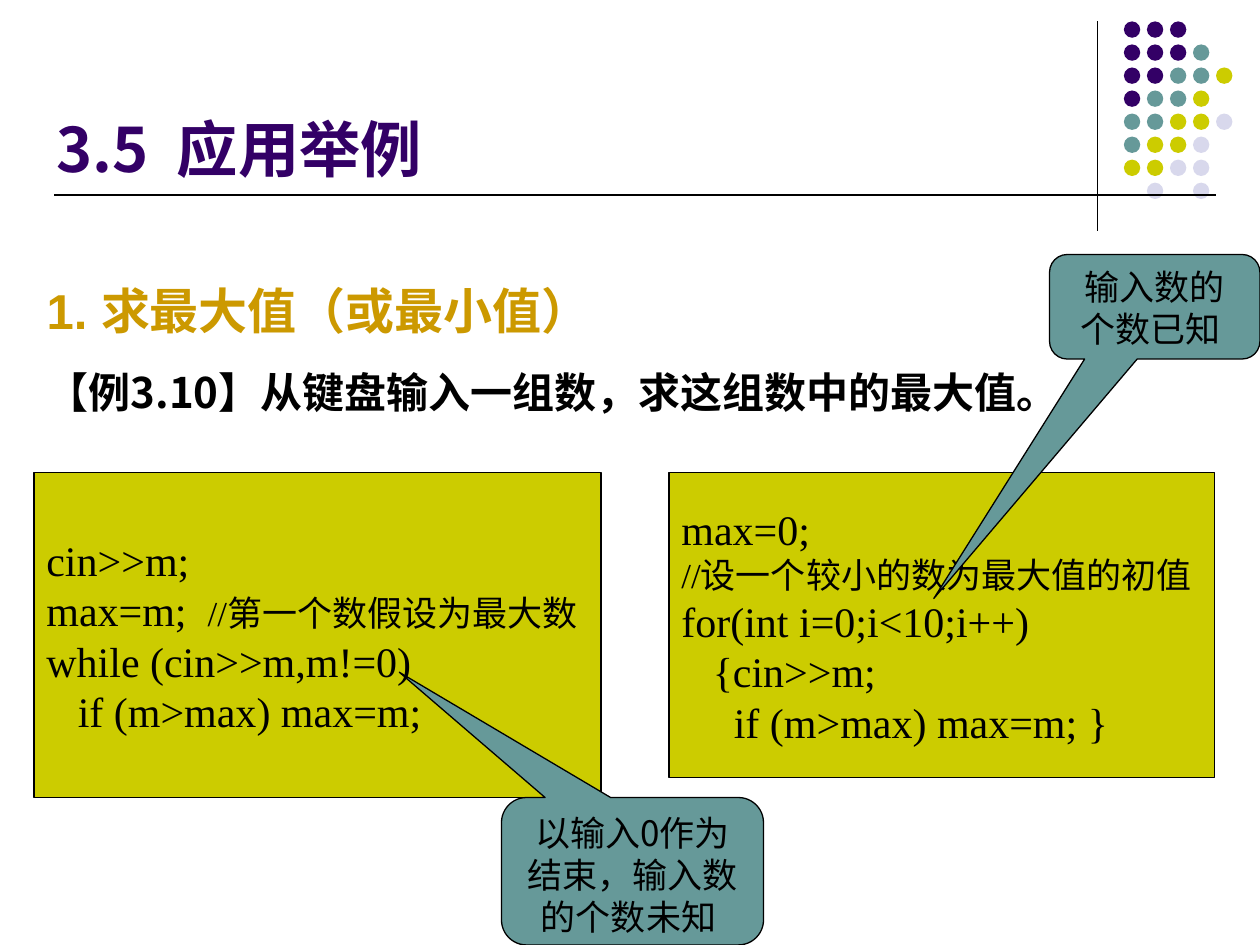
from dataclasses import dataclass

from lxml.etree import SubElement
from pptx import Presentation
from pptx.dml.color import RGBColor
from pptx.enum.shapes import MSO_CONNECTOR, MSO_SHAPE
from pptx.enum.text import MSO_ANCHOR, MSO_AUTO_SIZE, PP_ALIGN
from pptx.oxml.ns import qn
from pptx.util import Inches, Pt


@dataclass(frozen=True)
class Theme:
    purple: str = "330066"
    teal: str = "669999"
    lime: str = "CCCC00"
    lavender: str = "D8D8EC"
    gold: str = "CC9900"
    black: str = "000000"
    chinese: str = "Noto Sans CJK SC"
    heading: str = "Arial"
    code: str = "Times New Roman"
    title_size: int = 35
    heading_size: int = 28
    text_size: int = 24
    note_size: int = 20


THEME = Theme()
TITLE_STYLE = {"name": THEME.chinese, "size": Pt(THEME.title_size), "bold": True}
HEADING_STYLE = {"name": THEME.heading, "size": Pt(THEME.heading_size), "bold": True}
EXAMPLE_STYLE = {"name": THEME.chinese, "size": Pt(THEME.text_size), "bold": True}
CODE_STYLE = {"name": THEME.code, "size": Pt(THEME.text_size)}
SLASH_STYLE = {"name": THEME.code, "size": Pt(THEME.note_size)}
NOTE_STYLE = {"name": THEME.chinese, "size": Pt(THEME.note_size)}

DOT_COLORS = {"P": THEME.purple, "T": THEME.teal, "L": THEME.lime, "V": THEME.lavender}
DOT_ROWS = ["PPP", "PPPT", "PPTTL", "PTTL", "TTLLV", "TLLV", "LLVV", " V V"]
DOT_PITCH = 1.28 / 7

INPUT_LOOP = [
    [("cin>>m;", CODE_STYLE)],
    [("max=m;  ", CODE_STYLE), ("//", SLASH_STYLE),
     ("第一个数假设为最大数", NOTE_STYLE), (" ", CODE_STYLE)],
    [("while (cin>>m,m!=0)", CODE_STYLE)],
    [("   if (m>max) max=m;", CODE_STYLE)],
]
COUNTED_LOOP = [
    [("max=0;", CODE_STYLE)],
    [("//", SLASH_STYLE), ("设一个较小的数为最大值的初值", NOTE_STYLE)],
    [("for(int i=0;i<10;i++)", CODE_STYLE)],
    [("   {cin>>m;", CODE_STYLE)],
    [("     if (m>max) max=m; }", CODE_STYLE)],
]


def apply_format(target, values):
    for name, value in values.items():
        setattr(target, name, value)


def place(shape, left, top, width, height):
    box = {"left": left, "top": top, "width": width, "height": height}
    apply_format(shape, {name: Inches(value) for name, value in box.items()})


def add_run(paragraph, text, style, color=THEME.black):
    run = paragraph.add_run()
    run.text = text
    apply_format(run.font, style)
    run.font.color.rgb = RGBColor.from_string(color)
    east_asian = SubElement(run.font._element, qn("a:ea"))
    east_asian.set("typeface", THEME.chinese)


def add_line(slide, start, end, width):
    points = [Inches(value) for value in (*start, *end)]
    line = slide.shapes.add_connector(MSO_CONNECTOR.STRAIGHT, *points)
    line.line.color.rgb = RGBColor.from_string(THEME.black)
    line.line.width = Pt(width)
    SubElement(line._element.spPr, qn("a:effectLst"))


def add_filled_shape(shapes, kind, box, color):
    shape = shapes.add_shape(kind, *(Inches(value) for value in box))
    shape.shadow.inherit = False
    shape.fill.solid()
    shape.fill.fore_color.rgb = RGBColor.from_string(color)
    shape.line.fill.background()
    return shape


def add_outline(shape):
    shape.line.color.rgb = RGBColor.from_string(THEME.black)
    shape.line.width = Pt(0.75)


def add_dot_pattern(slide):
    group = slide.shapes.add_group_shape()
    for row, codes in enumerate(DOT_ROWS):
        for column, code in enumerate(codes):
            if code in DOT_COLORS:
                box = (8.92 + column * DOT_PITCH, 0.17 + row * DOT_PITCH, 0.13, 0.13)
                add_filled_shape(group.shapes, MSO_SHAPE.OVAL, box, DOT_COLORS[code])


def add_title(slide, text):
    title = slide.shapes.title
    place(title, 0.35, 0.6, 6.06, 0.92)
    apply_format(title.text_frame, {
        "vertical_anchor": MSO_ANCHOR.BOTTOM,
        "auto_size": MSO_AUTO_SIZE.NONE,
        "word_wrap": True,
    })
    paragraph = title.text_frame.paragraphs[0]
    paragraph.alignment = PP_ALIGN.LEFT
    add_run(paragraph, text, TITLE_STYLE, THEME.purple)


def add_body(slide, entries):
    body = slide.placeholders[1]
    place(body, 0.27, 2.18, 9.21, 1.18)
    frame = body.text_frame
    apply_format(frame, {"auto_size": MSO_AUTO_SIZE.NONE, "word_wrap": True})
    for index, (text, style, color, alignment, space) in enumerate(entries):
        paragraph = frame.add_paragraph() if index else frame.paragraphs[0]
        apply_format(paragraph, {"alignment": alignment, "space_before": Pt(space)})
        properties = paragraph._p.get_or_add_pPr()
        properties.set("marL", "0")
        properties.set("indent", "0")
        SubElement(properties, qn("a:buNone"))
        add_run(paragraph, text, style, color)


def add_code_box(slide, box, lines):
    shape = add_filled_shape(slide.shapes, MSO_SHAPE.RECTANGLE, box, THEME.lime)
    add_outline(shape)
    frame = shape.text_frame
    apply_format(frame, {"vertical_anchor": MSO_ANCHOR.MIDDLE, "word_wrap": False})
    for index, runs in enumerate(lines):
        paragraph = frame.add_paragraph() if index else frame.paragraphs[0]
        paragraph.alignment = PP_ALIGN.LEFT
        for text, style in runs:
            add_run(paragraph, text, style)


def add_callout(slide, box, pointer, text):
    shape = add_filled_shape(
        slide.shapes, MSO_SHAPE.ROUNDED_RECTANGULAR_CALLOUT, box, THEME.teal)
    add_outline(shape)
    for index, value in enumerate((*pointer, 0.17)):
        shape.adjustments[index] = value
    apply_format(shape.text_frame, {"vertical_anchor": MSO_ANCHOR.TOP, "word_wrap": True})
    paragraph = shape.text_frame.paragraphs[0]
    paragraph.alignment = PP_ALIGN.CENTER
    add_run(paragraph, text, NOTE_STYLE)


def main():
    presentation = Presentation()
    apply_format(presentation, {"slide_width": Inches(10), "slide_height": Inches(7.5)})
    slide = presentation.slides.add_slide(presentation.slide_layouts[1])

    add_line(slide, (8.71, 0.17), (8.71, 1.83), 0.75)
    add_dot_pattern(slide)
    add_line(slide, (0.43, 1.55), (9.65, 1.55), 1)
    add_title(slide, "3.5  应用举例")
    add_body(slide, [
        ("1. 求最大值（或最小值）", HEADING_STYLE, THEME.gold, PP_ALIGN.JUSTIFY, 0),
        ("【例3.10】从键盘输入一组数，求这组数中的最大值。",
         EXAMPLE_STYLE, THEME.black, PP_ALIGN.LEFT, 15),
    ])
    add_code_box(slide, (0.27, 3.75, 4.5, 2.58), INPUT_LOOP)
    add_code_box(slide, (5.31, 3.75, 4.33, 2.42), COUNTED_LOOP)
    add_callout(slide, (3.98, 6.33, 2.08, 1.17), (-0.89, -1.35),
                "以输入0作为结束，输入数的个数未知 ")
    add_callout(slide, (8.33, 2.02, 1.67, 0.83), (-1.05, 2.79), "输入数的个数已知 ")

    presentation.save("out.pptx")


if __name__ == "__main__":
    main()
